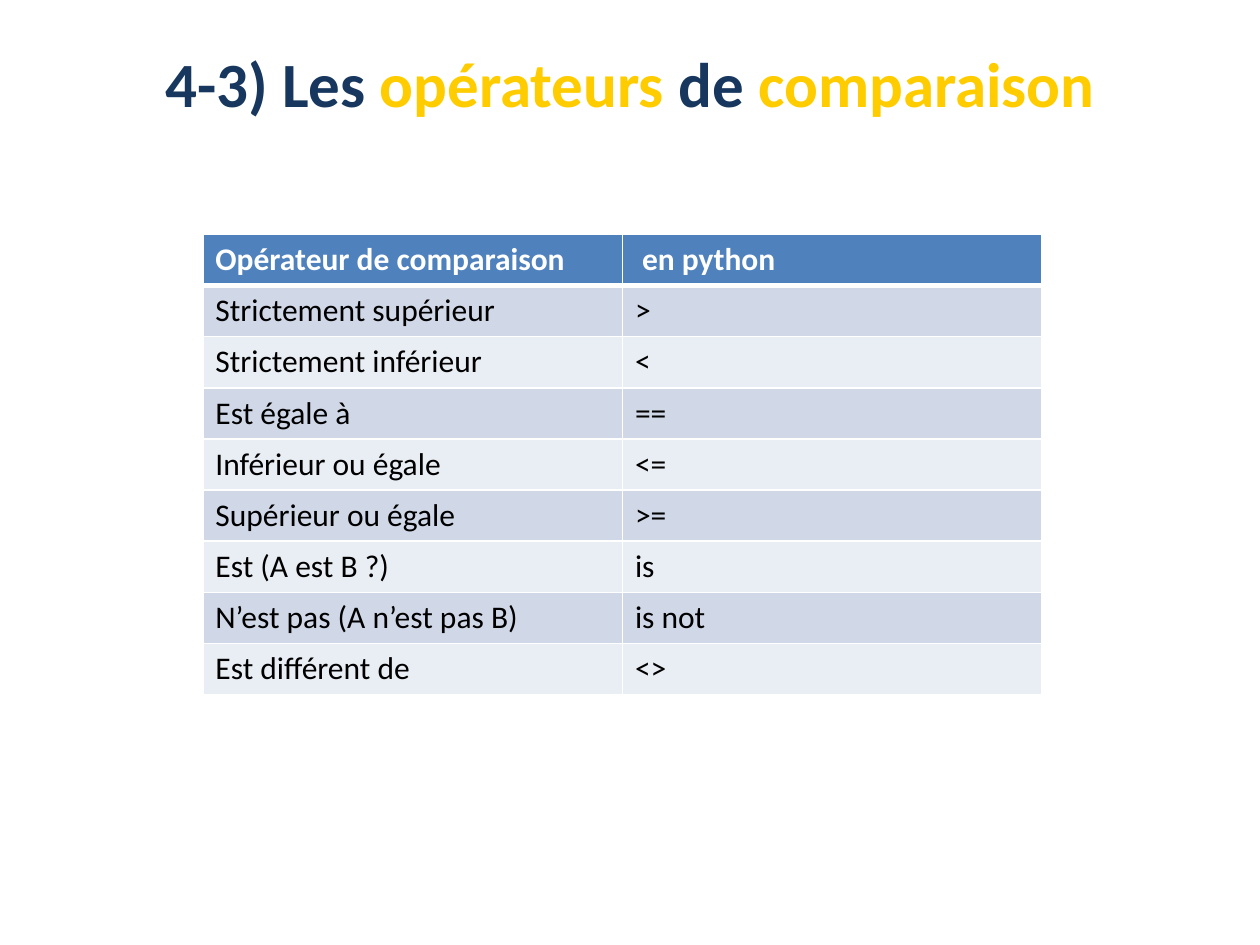
from lxml.etree import SubElement
from pptx import Presentation
from pptx.dml.color import RGBColor
from pptx.enum.text import MSO_ANCHOR, PP_ALIGN
from pptx.oxml.ns import qn
from pptx.util import Inches, Pt

FONT = "Calibri"
COLORS = {
    "navy": "17375E", "gold": "FFCC00", "header": "4F81BD",
    "odd": "D0D8E8", "even": "E9EDF4", "white": "FFFFFF", "black": "000000",
}
TITLE = [("4-3) Les ", "navy"), ("opérateurs", "gold"),
         (" de ", "navy"), ("comparaison", "gold")]
ROWS = [
    ("Opérateur de comparaison", " en python"),
    ("Strictement supérieur ", ">"),
    ("Strictement inférieur", "<"),
    ("Est égale à", "=="),
    ("Inférieur ou égale ", "<="),
    ("Supérieur ou égale", ">="),
    ("Est (A est B ?)", "is"),
    ("N’est pas (A n’est pas B)", "is not"),
    ("Est différent de ", "<>"),
]
COL_WIDTH, ROW_HEIGHT = 3.33, 0.406


def rgb(name):
    """Return the named colour."""
    return RGBColor.from_string(COLORS[name])


def add_run(p, text, size, color, bold):
    """Append a formatted run to a paragraph."""
    r = p.add_run()
    r.text = text
    r.font.name, r.font.size, r.font.bold = FONT, Pt(size), bold
    r.font.color.rgb = rgb(color)


def set_borders(cell, top, bottom):
    """Draw white cell borders; top and bottom widths are in points."""
    tc_pr = cell._tc.get_or_add_tcPr()
    for side, width in (("L", 1), ("R", 1), ("T", top), ("B", bottom)):
        ln = SubElement(tc_pr, qn(f"a:ln{side}"), w=str(Pt(width)))
        fill = SubElement(ln, qn("a:solidFill"))
        SubElement(fill, qn("a:srgbClr"), val=COLORS["white"])


def add_title(s):
    """Add the two-colour title."""
    tf = s.shapes.add_textbox(Inches(0.5), Inches(0.3), Inches(9), Inches(1.25)).text_frame
    tf.word_wrap = True
    tf.vertical_anchor = MSO_ANCHOR.TOP
    p = tf.paragraphs[0]
    p.alignment = PP_ALIGN.CENTER
    for text, color in TITLE:
        add_run(p, text, 36, color, True)


def add_operator_table(s):
    """Add the table of comparison operators."""
    n_cols = len(ROWS[0])
    table = s.shapes.add_table(
        len(ROWS), n_cols, Inches(1.61), Inches(1.86),
        Inches(COL_WIDTH * n_cols), Inches(ROW_HEIGHT * len(ROWS))).table
    for col in table.columns:
        col.width = Inches(COL_WIDTH)
    for i, texts in enumerate(ROWS):
        table.rows[i].height = Inches(ROW_HEIGHT)
        header = i == 0
        band = "header" if header else "odd" if i % 2 else "even"
        for j, text in enumerate(texts):
            cell = table.cell(i, j)
            set_borders(cell, 3 if i == 1 else 1, 3 if header else 1)
            cell.fill.solid()
            cell.fill.fore_color.rgb = rgb(band)
            add_run(cell.text_frame.paragraphs[0], text, 18,
                    "white" if header else "black", header)


prs = Presentation()
prs.slide_width, prs.slide_height = Inches(10), Inches(7.5)
s = prs.slides.add_slide(prs.slide_layouts[6])
add_title(s)
add_operator_table(s)
prs.save("out.pptx")
